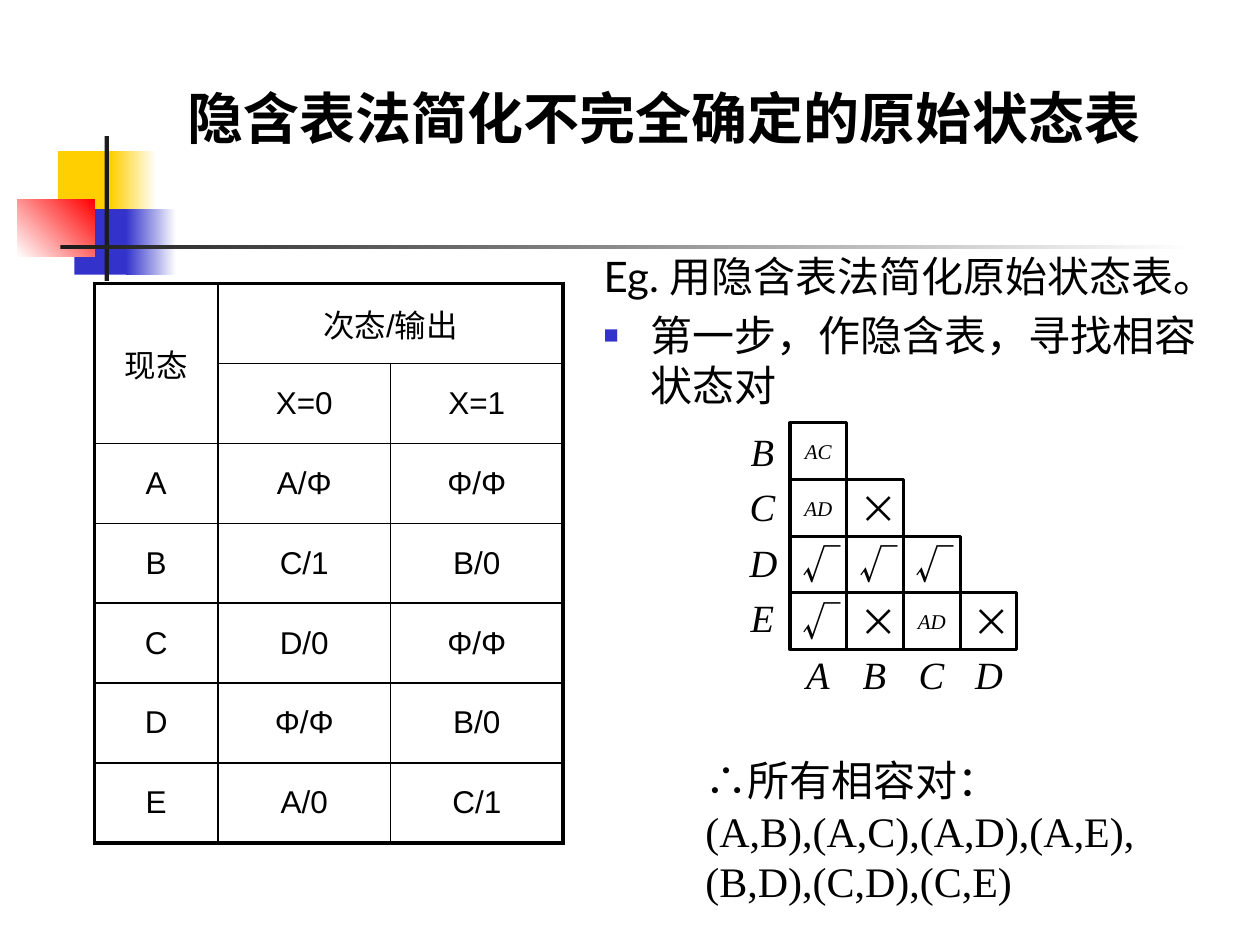
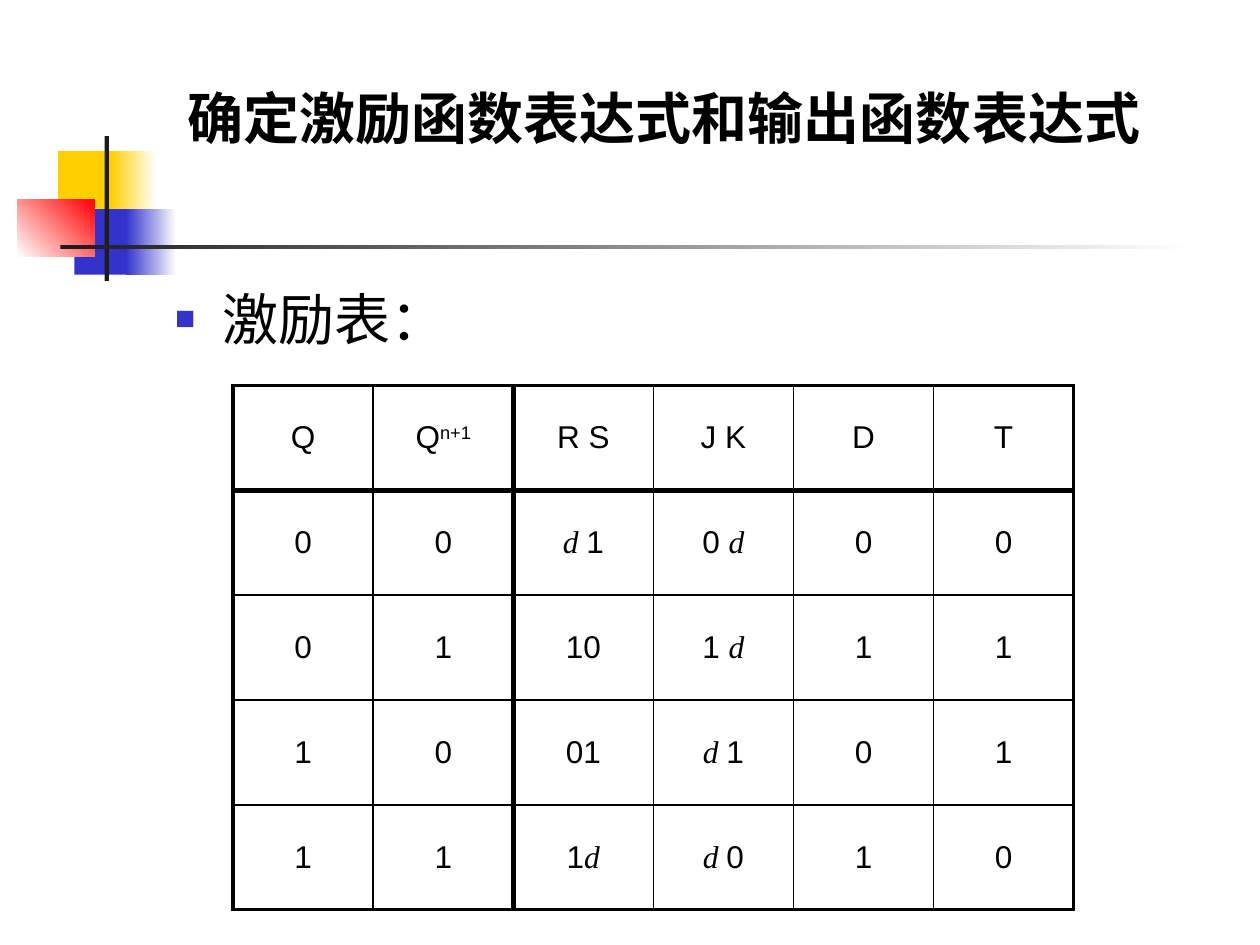
from dataclasses import dataclass

import lxml.etree
import pptx
import pptx.dml.color
import pptx.enum.shapes
import pptx.enum.text
import pptx.oxml.ns
import pptx.util

ALIGN = pptx.enum.text.PP_ALIGN
ANCHOR = pptx.enum.text.MSO_ANCHOR
RECTANGLE = pptx.enum.shapes.MSO_SHAPE.RECTANGLE


@dataclass(frozen=True)
class Theme:
    ink: str = "000000"
    paper: str = "FFFFFF"
    bar: str = "1C1C1C"
    yellow: str = "FFCF01"
    blue: str = "3333CC"
    red: str = "FF0000"
    heading_font: str = "Lato"
    table_font: str = "Arial"
    math_font: str = "Times New Roman"
    chinese_font: str = "Noto Sans CJK SC"
    title_size: int = 32
    body_size: int = 24
    label_size: int = 22
    table_size: int = 18
    pair_size: int = 12
    thin: float = 1
    box_line: float = 1.75
    frame: float = 2.25
    heavy: float = 3


THEME = Theme()

# The slide is a grid of 100 columns by 75 rows
SLIDE_WIDTH, SLIDE_HEIGHT = pptx.util.Inches(10), pptx.util.Inches(7.5)
COLUMNS, ROWS = 100, 75


def grid(*lengths):
    """Turn alternating columns and rows into slide lengths."""
    sizes = (SLIDE_WIDTH / COLUMNS, SLIDE_HEIGHT / ROWS)
    return [round(length * sizes[i % 2]) for i, length in enumerate(lengths)]


def rgb(colour):
    return pptx.dml.color.RGBColor.from_string(colour)


def add_xml(parent, tag, **attributes):
    return lxml.etree.SubElement(parent, pptx.oxml.ns.qn(tag), attributes)


# Text
def add_span(para, text, font, size, bold=False, italic=False, raised=0):
    span = para.add_run()
    span.text = text
    span.font.size = pptx.util.Pt(size)
    span.font.bold, span.font.italic = bold, italic
    span.font.color.rgb = rgb(THEME.ink)
    span.font.name = font
    properties = span._r.get_or_add_rPr()
    add_xml(properties, "a:ea", typeface=THEME.chinese_font)
    if raised:
        properties.set("baseline", str(raised * 1000))


def write(frame, *lines, align=ALIGN.LEFT, anchor=ANCHOR.TOP, wrap=True, **style):
    """Each line is a string, or a tuple of strings and (text, style) pairs."""
    frame.word_wrap = wrap
    frame.vertical_anchor = anchor
    for number, line in enumerate(lines):
        para = frame.add_paragraph() if number else frame.paragraphs[0]
        para.alignment = align
        for part in (line,) if isinstance(line, str) else line:
            text, changes = (part, {}) if isinstance(part, str) else part
            add_span(para, text, **{**style, **changes})


def set_bullet(para, shown):
    properties = para._p.get_or_add_pPr()
    if not shown:
        add_xml(properties, "a:buNone")
        return
    add_xml(add_xml(properties, "a:buClr"), "a:srgbClr", val=THEME.blue)
    add_xml(properties, "a:buSzPct", val="60000")
    add_xml(properties, "a:buFont", typeface=THEME.table_font)
    add_xml(properties, "a:buChar", char="■")


def fill_placeholder(holder, place, *lines, **style):
    holder.left, holder.top, holder.width, holder.height = grid(*place)
    holder.text_frame.auto_size = pptx.enum.text.MSO_AUTO_SIZE.NONE
    write(holder.text_frame, *lines, font=THEME.heading_font, **style)


def add_label(shapes, place, *lines, margin=None, **style):
    frame = shapes.add_textbox(*grid(*place)).text_frame
    if margin is not None:
        frame.margin_left = frame.margin_right = margin
        frame.margin_top = frame.margin_bottom = margin
    write(frame, *lines, wrap=False, **style)


# Shapes
def add_box(shapes, place, start, end=None, angle=0, line=0):
    box = shapes.add_shape(RECTANGLE, *grid(*place))
    box.shadow.inherit = False
    if end:
        box.fill.gradient()
        box.fill.gradient_angle = angle
        for stop, colour in zip(box.fill.gradient_stops, (start, end)):
            stop.color.rgb = rgb(colour)
    else:
        box.fill.solid()
        box.fill.fore_color.rgb = rgb(start)
    if line:
        box.line.color.rgb = rgb(THEME.ink)
        box.line.width = pptx.util.Pt(line)
    else:
        box.line.fill.background()
    return box


def add_emblem(page):
    shapes = page.shapes
    add_box(shapes, (4.6, 12, 4.8, 5.2), THEME.yellow)
    add_box(shapes, (8.8, 12, 3.6, 5.2), THEME.yellow, THEME.paper)
    add_box(shapes, (5.9, 16.6, 4.6, 5.2), THEME.blue)
    add_box(shapes, (10, 16.6, 4, 5.2), THEME.blue, THEME.paper)
    add_box(shapes, (1.4, 15.8, 6.1, 4.6), THEME.paper, THEME.red, angle=45)
    add_box(shapes, (8.3, 10.8, 0.35, 11.5), THEME.bar)
    add_box(shapes, (4.8, 19.45, 90, 0.35), THEME.bar, THEME.paper)


def add_page(deck, title, body_place, *lines, size, plain_lines=0):
    page = deck.slides.add_slide(deck.slide_layouts[1])
    add_emblem(page)
    fill_placeholder(page.shapes.title, (13.9, 5.8, 85.2, 6.7), title,
                     anchor=ANCHOR.BOTTOM, size=THEME.title_size, bold=True)
    body = page.placeholders[1]
    fill_placeholder(body, body_place, *lines, size=size)
    for number, para in enumerate(body.text_frame.paragraphs):
        set_bullet(para, number >= plain_lines)
    return page


# Tables
def set_border(cell, side, width):
    line = add_xml(cell._tc.get_or_add_tcPr(), f"a:ln{side}",
                   w=str(pptx.util.Pt(width)))
    add_xml(add_xml(line, "a:solidFill"), "a:srgbClr", val=THEME.ink)


def edge_width(index, last, heavy):
    if index in (0, last):
        return THEME.frame
    return THEME.heavy if index == heavy else THEME.thin


def add_grid_table(page, place, rows, column_widths, merges=(),
                   heavy_row=None, heavy_column=None):
    row_count, column_count = len(rows), len(column_widths)
    table = page.shapes.add_table(row_count, column_count, *grid(*place)).table
    table.first_row = table.horz_banding = False
    for column, width in zip(table.columns, column_widths):
        column.width = grid(width)[0]
    for top, left, bottom, right in merges:
        table.cell(top, left).merge(table.cell(bottom, right))
    for r, row in enumerate(rows):
        for c, content in enumerate(row):
            cell = table.cell(r, c)
            if cell.is_spanned:
                continue
            bottom, right = r + cell.span_height, c + cell.span_width
            for side, index in (("L", c), ("R", right)):
                set_border(cell, side, edge_width(index, column_count, heavy_column))
            for side, index in (("T", r), ("B", bottom)):
                set_border(cell, side, edge_width(index, row_count, heavy_row))
            cell.fill.background()
            write(cell.text_frame, content, align=ALIGN.CENTER,
                  font=THEME.table_font, size=THEME.table_size)
            cell.vertical_anchor = ANCHOR.MIDDLE


# Implication chart: a staircase of state pairs
def add_implication_chart(page, left, top, step, rows):
    shapes = page.shapes.add_group_shape().shapes
    label = dict(align=ALIGN.CENTER, margin=0, font=THEME.math_font,
                 size=THEME.label_size, italic=True)
    for r, (state, marks) in enumerate(rows):
        for c, mark in enumerate(marks):
            box = add_box(shapes, (left + c * step, top + r * step, step, step),
                          THEME.paper, line=THEME.box_line)
            if mark in "√×":
                style = dict(font=THEME.chinese_font, size=THEME.label_size,
                             align=ALIGN.LEFT)
            else:
                style = dict(font=THEME.math_font, size=THEME.pair_size,
                             italic=True, align=ALIGN.CENTER, wrap=False)
            write(box.text_frame, mark, anchor=ANCHOR.MIDDLE, **style)
        add_label(shapes, (left - 3.2, top + 0.4 + r * 4.4, 2, 3.7), state, **label)
    for c, state in enumerate("ABCD"):
        add_label(shapes, (left + 1.2 + c * step, top + 4 * step + 0.1, 2, 3.7),
                  state, **label)


def add_reduction_page(deck):
    page = add_page(deck, "隐含表法简化不完全确定的原始状态表", (46.9, 19.4, 49.6, 39.5),
                    "Eg. 用隐含表法简化原始状态表。",
                    "第一步，作隐含表，寻找相容状态对",
                    size=THEME.body_size, plain_lines=1)
    state_rows = [
        ("现态", "次态/输出", ""),
        ("", "X=0", "X=1"),
        ("A", "A/Φ", "Φ/Φ"),
        ("B", "C/1", "B/0"),
        ("C", "D/0", "Φ/Φ"),
        ("D", "Φ/Φ", "B/0"),
        ("E", "A/0", "C/1"),
    ]
    add_grid_table(page, (7.5, 22.5, 37.2, 44.4), state_rows, (9.8, 13.7, 13.7),
                   merges=[(0, 0, 1, 0), (0, 1, 0, 2)])
    add_implication_chart(page, 62.7, 33.55, 4.5, [
        ("B", ["AC"]),
        ("C", ["AD", "×"]),
        ("D", ["√", "√", "√"]),
        ("E", ["√", "×", "AD", "×"]),
    ])
    add_label(page.shapes, (55, 59.4, 36.4, 13.1), "∴所有相容对：",
              "(A,B),(A,C),(A,D),(A,E),", "(B,D),(C,D),(C,E)",
              font=THEME.math_font, size=THEME.body_size)


def add_excitation_page(deck):
    page = add_page(deck, "确定激励函数表达式和输出函数表达式", (12.9, 22.1, 85, 45),
                    "激励表：", size=THEME.title_size)
    italic = dict(font=THEME.math_font, italic=True)
    d, d_first = ("d", italic), ("d ", italic)
    excitation_rows = [
        ("Q", ("Q", ("n+1", dict(raised=30))), "R S", "J K", "D", "T"),
        ("0", "0", (d_first, "1"), ("0 ", d), "0", "0"),
        ("0", "1", "10", ("1 ", d), "1", "1"),
        ("1", "0", "01", (d_first, "1"), "0", "1"),
        ("1", "1", ("1", d), (d_first, "0"), "1", "0"),
    ]
    add_grid_table(page, (18.5, 30.6, 66.7, 41.6), excitation_rows, [11.12] * 6,
                   heavy_row=1, heavy_column=2)


def main():
    deck = pptx.Presentation()
    deck.slide_width, deck.slide_height = SLIDE_WIDTH, SLIDE_HEIGHT
    add_reduction_page(deck)
    add_excitation_page(deck)
    deck.save("out.pptx")


if __name__ == "__main__":
    main()
